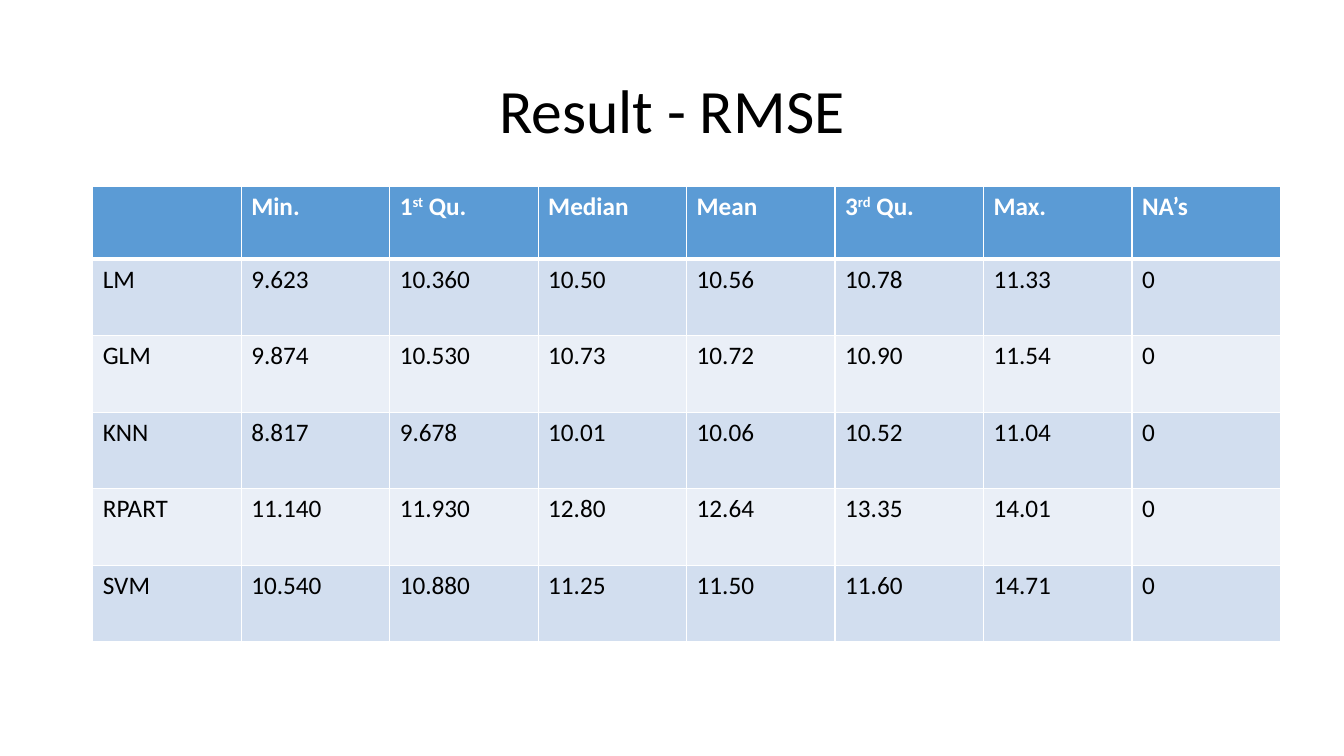
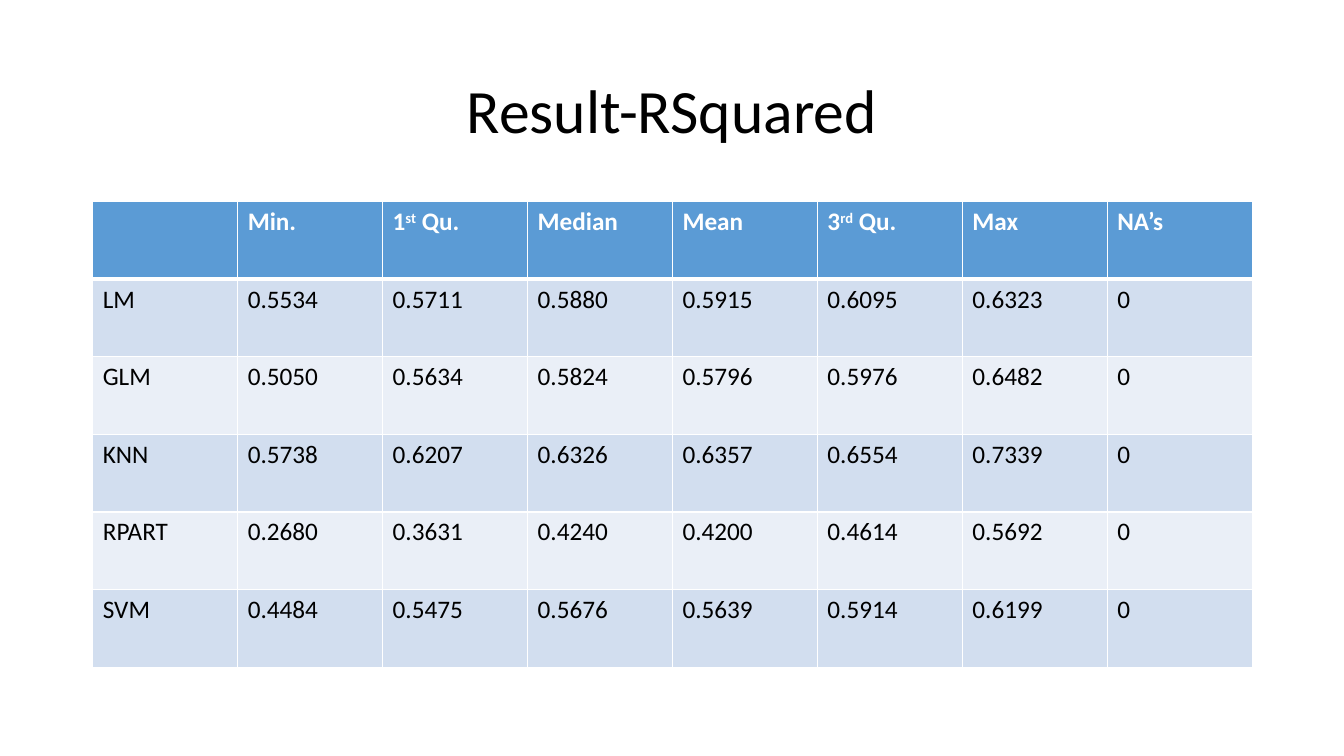
from dataclasses import dataclass

from lxml import etree
from pptx import Presentation
from pptx.dml.color import RGBColor
from pptx.enum.text import MSO_ANCHOR, PP_ALIGN
from pptx.oxml.ns import qn
from pptx.util import Inches, Pt

CENTER = PP_ALIGN.CENTER
MIDDLE = MSO_ANCHOR.MIDDLE
SLIDE_WIDTH, SLIDE_HEIGHT = 13.33, 7.5
BLANK_LAYOUT = 6
MARGIN = 0.92
TITLE_TOP, TITLE_HEIGHT = 0.4, 1.45


@dataclass(frozen=True)
class Theme:
    font: str = "Calibri"
    title_size: int = 44
    table_size: int = 18
    ink: str = "000000"
    paper: str = "FFFFFF"
    header: str = "5B9BD5"
    bands: tuple[str, str] = ("D2DEEF", "EAEFF7")
    grid_line: int = 1
    header_line: int = 3
    title_spacing: float = 0.9
    superscript: str = "30000"


@dataclass(frozen=True)
class Result:
    title: str
    top: float
    width: float
    header_height: float
    row_height: float
    max_label: str
    scores: tuple[str, ...]


THEME = Theme()
RESULTS = (
    Result("Result - RMSE", 1.85, 11.78, 0.72, 0.76, "Max.", (
        "LM 9.623 10.360 10.50 10.56 10.78 11.33 0",
        "GLM 9.874 10.530 10.73 10.72 10.90 11.54 0",
        "KNN 8.817 9.678 10.01 10.06 10.52 11.04 0",
        "RPART 11.140 11.930 12.80 12.64 13.35 14.01 0",
        "SVM 10.540 10.880 11.25 11.50 11.60 14.71 0",
    )),
    Result("Result-RSquared", 2, 11.5, 0.77, 0.77, "Max", (
        "LM 0.5534 0.5711 0.5880 0.5915 0.6095 0.6323 0",
        "GLM 0.5050 0.5634 0.5824 0.5796 0.5976 0.6482 0",
        "KNN 0.5738 0.6207 0.6326 0.6357 0.6554 0.7339 0",
        "RPART 0.2680 0.3631 0.4240 0.4200 0.4614 0.5692 0",
        "SVM 0.4484 0.5475 0.5676 0.5639 0.5914 0.6199 0",
    )),
)


def add_runs(paragraph, text: str, size: int, color: str, bold: bool = False) -> None:
    for index, part in enumerate(text.split("^")):
        if not part:
            continue
        run = paragraph.add_run()
        run.text = part
        run.font.name = THEME.font
        run.font.size = Pt(size)
        run.font.bold = bold
        run.font.color.rgb = RGBColor.from_string(color)
        if index % 2:
            run._r.get_or_add_rPr().set("baseline", THEME.superscript)


def add_title(slide, text: str) -> None:
    box = slide.shapes.add_textbox(
        Inches(MARGIN), Inches(TITLE_TOP),
        Inches(SLIDE_WIDTH - 2 * MARGIN), Inches(TITLE_HEIGHT),
    )
    frame = box.text_frame
    frame.word_wrap = True
    frame.vertical_anchor = MIDDLE
    heading = frame.paragraphs[0]
    heading.alignment = CENTER
    heading.line_spacing = THEME.title_spacing
    add_runs(heading, text, THEME.title_size, THEME.ink)


def set_borders(cell, top: int, bottom: int) -> None:
    properties = cell._tc.get_or_add_tcPr()
    widths = {"lnL": THEME.grid_line, "lnR": THEME.grid_line, "lnT": top, "lnB": bottom}
    for side, width in widths.items():
        line = etree.SubElement(properties, qn(f"a:{side}"), w=str(Pt(width)))
        fill = etree.SubElement(line, qn("a:solidFill"))
        etree.SubElement(fill, qn("a:srgbClr"), val=THEME.paper)


def add_score_table(slide, result: Result) -> None:
    header = ["", "Min.", "1^st^ Qu.", "Median", "Mean", "3^rd^ Qu.", result.max_label, "NA’s"]
    rows = [header] + [score.split() for score in result.scores]
    heights = [result.header_height] + [result.row_height] * len(result.scores)
    table = slide.shapes.add_table(
        len(rows), len(header), Inches(MARGIN), Inches(result.top),
        Inches(result.width), Inches(sum(heights)),
    ).table
    table.first_row = False
    table.horz_banding = False
    for column in table.columns:
        column.width = Inches(result.width / len(header))
    for row_index, (labels, height) in enumerate(zip(rows, heights)):
        table.rows[row_index].height = Inches(height)
        is_header = row_index == 0
        background = THEME.header if is_header else THEME.bands[(row_index - 1) % 2]
        color = THEME.paper if is_header else THEME.ink
        top = THEME.header_line if row_index == 1 else THEME.grid_line
        bottom = THEME.header_line if is_header else THEME.grid_line
        for cell, label in zip(table.rows[row_index].cells, labels):
            set_borders(cell, top, bottom)
            cell.fill.solid()
            cell.fill.fore_color.rgb = RGBColor.from_string(background)
            add_runs(cell.text_frame.paragraphs[0], label, THEME.table_size, color, is_header)


def main() -> None:
    deck = Presentation()
    deck.slide_width = Inches(SLIDE_WIDTH)
    deck.slide_height = Inches(SLIDE_HEIGHT)
    for result in RESULTS:
        slide = deck.slides.add_slide(deck.slide_layouts[BLANK_LAYOUT])
        add_title(slide, result.title)
        add_score_table(slide, result)
    deck.save("out.pptx")


if __name__ == "__main__":
    main()
